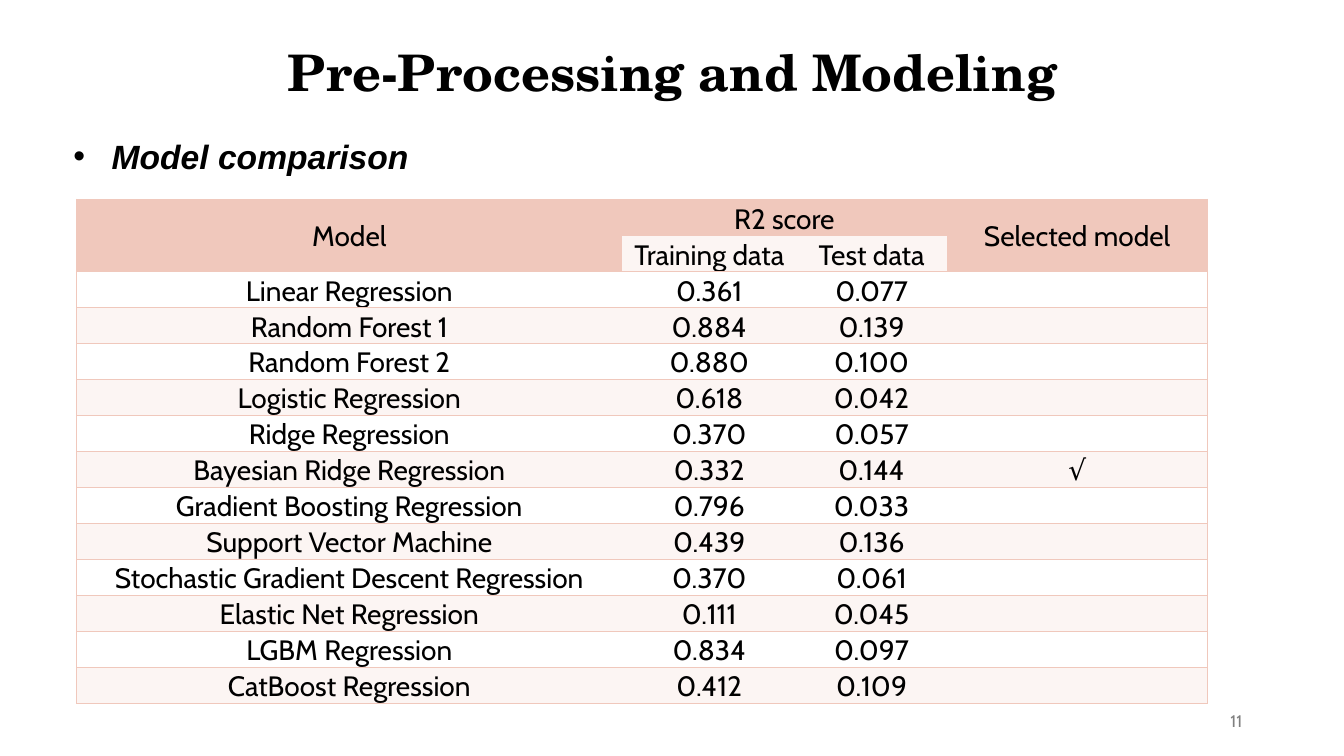
from lxml import etree
from pptx import Presentation, util as u
from pptx.dml.color import RGBColor
from pptx.enum import text as t
from pptx.oxml.ns import qn

# Content
TITLE = "Pre-Processing and Modeling"
TOPIC = "Model comparison"
PAGE = "11"
HEAD = [("Model", "R2 score", "", "Selected model"),
        ("", "Training data", "Test data", "")]
SCORES = [
    ("Linear Regression", "0.361", "0.077"),
    ("Random Forest 1", "0.884", "0.139"),
    ("Random Forest 2", "0.880", "0.100"),
    ("Logistic Regression", "0.618", "0.042"),
    ("Ridge Regression", "0.370", "0.057"),
    ("Bayesian Ridge Regression", "0.332", "0.144"),
    ("Gradient Boosting Regression", "0.796", "0.033"),
    ("Support Vector Machine", "0.439", "0.136"),
    ("Stochastic Gradient Descent Regression", "0.370", "0.061"),
    ("Elastic Net Regression", "0.111", "0.045"),
    ("LGBM Regression", "0.834", "0.097"),
    ("CatBoost Regression", "0.412", "0.109"),
]
CHOSEN = "Bayesian Ridge Regression"
WIDTHS = [5.41, 1.73, 1.49, 2.59]
MERGES = [(0, 0, 1, 0), (0, 1, 0, 2), (0, 3, 1, 3)]
COLORS = {"ink": "000000", "gray": "808080", "rose": "F0C8BC",
          "pale": "FCF5F3", "white": "FFFFFF"}
ALIGN = {"l": t.PP_ALIGN.LEFT, "c": t.PP_ALIGN.CENTER, "r": t.PP_ALIGN.RIGHT}


def rgb(name):
    return RGBColor.from_string(COLORS[name])


def write(frame, words, size=20, face="Cabin", color="ink", align="c",
          gap=1.0, bold=False, italic=False, bullet=False):
    par = frame.paragraphs[0]
    par.alignment = ALIGN[align]
    par.line_spacing = gap
    if bullet:
        props = par._p.get_or_add_pPr()
        props.set("marL", str(u.Inches(0.38)))
        props.set("indent", str(-u.Inches(0.38)))
        etree.SubElement(props, qn("a:buFont"), typeface="Arial")
        etree.SubElement(props, qn("a:buChar"), char="•")
    if words:
        run = par.add_run()
        run.text = words
        font = run.font
        font.size, font.name = u.Pt(size), face
        font.bold, font.italic = bold, italic
        font.color.rgb = rgb(color)


def add_box(slide, place, words, anchor=t.MSO_ANCHOR.MIDDLE, **style):
    frame = slide.shapes.add_textbox(*map(u.Inches, place)).text_frame
    frame.word_wrap = True
    frame.vertical_anchor = anchor
    write(frame, words, **style)
    return frame


def set_edges(cell, drawn):
    props = cell._tc.get_or_add_tcPr()
    for spot, side in enumerate("LRTB"):
        line = etree.Element(qn("a:ln" + side), w=str(u.Pt(1)))
        if side in drawn:
            fill = etree.SubElement(line, qn("a:solidFill"))
            etree.SubElement(fill, qn("a:srgbClr"), val=COLORS["rose"])
        else:
            etree.SubElement(line, qn("a:noFill"))
        props.insert(spot, line)


def shade(row, col):
    if row == 0 or (row == 1 and col in (0, 3)):
        return "rose"
    return "pale" if row % 2 else "white"


def add_grid(slide):
    rows = HEAD + [(*item, "√" if item[0] == CHOSEN else "")
                   for item in SCORES]
    grid = slide.shapes.add_table(
        len(rows), len(WIDTHS), u.Inches(0.76), u.Inches(1.98),
        u.Inches(sum(WIDTHS)), u.Inches(4.73)).table
    grid.first_row = grid.horz_banding = False
    for col, width in zip(grid.columns, WIDTHS):
        col.width = u.Inches(width)
    last = len(WIDTHS) - 1
    for r, row in enumerate(rows):
        for c, words in enumerate(row):
            cell = grid.cell(r, c)
            cell.margin_left = cell.margin_right = u.Inches(0.07)
            cell.margin_top = cell.margin_bottom = 0
            cell.vertical_anchor = t.MSO_ANCHOR.MIDDLE
            cell.fill.solid()
            cell.fill.fore_color.rgb = rgb(shade(r, c))
            set_edges(cell, "TB" + {0: "L", last: "R"}.get(c, ""))
            write(cell.text_frame, words, gap=1.07)
    for top, left, low, right in MERGES:
        grid.cell(top, left).merge(grid.cell(low, right))


def main():
    deck = Presentation()
    deck.slide_width, deck.slide_height = u.Inches(13.33), u.Inches(7.5)
    slide = deck.slides.add_slide(deck.slide_layouts[6])

    # Title, page number and topic
    add_box(slide, (0.92, 0.4, 11.5, 0.7), TITLE, size=36,
            face="TeX Gyre Schola", gap=0.9, bold=True)
    add_box(slide, (9.42, 6.95, 3, 0.4), PAGE, size=12, color="gray",
            align="r")
    topic = add_box(slide, (0.63, 1.1, 11.5, 0.63), TOPIC,
                    anchor=t.MSO_ANCHOR.TOP, size=24, face="Arial",
                    align="l", gap=1.5, bold=True, italic=True, bullet=True)
    topic.auto_size = t.MSO_AUTO_SIZE.SHAPE_TO_FIT_TEXT

    # Score table
    add_grid(slide)
    deck.save("out.pptx")


if __name__ == "__main__":
    main()
